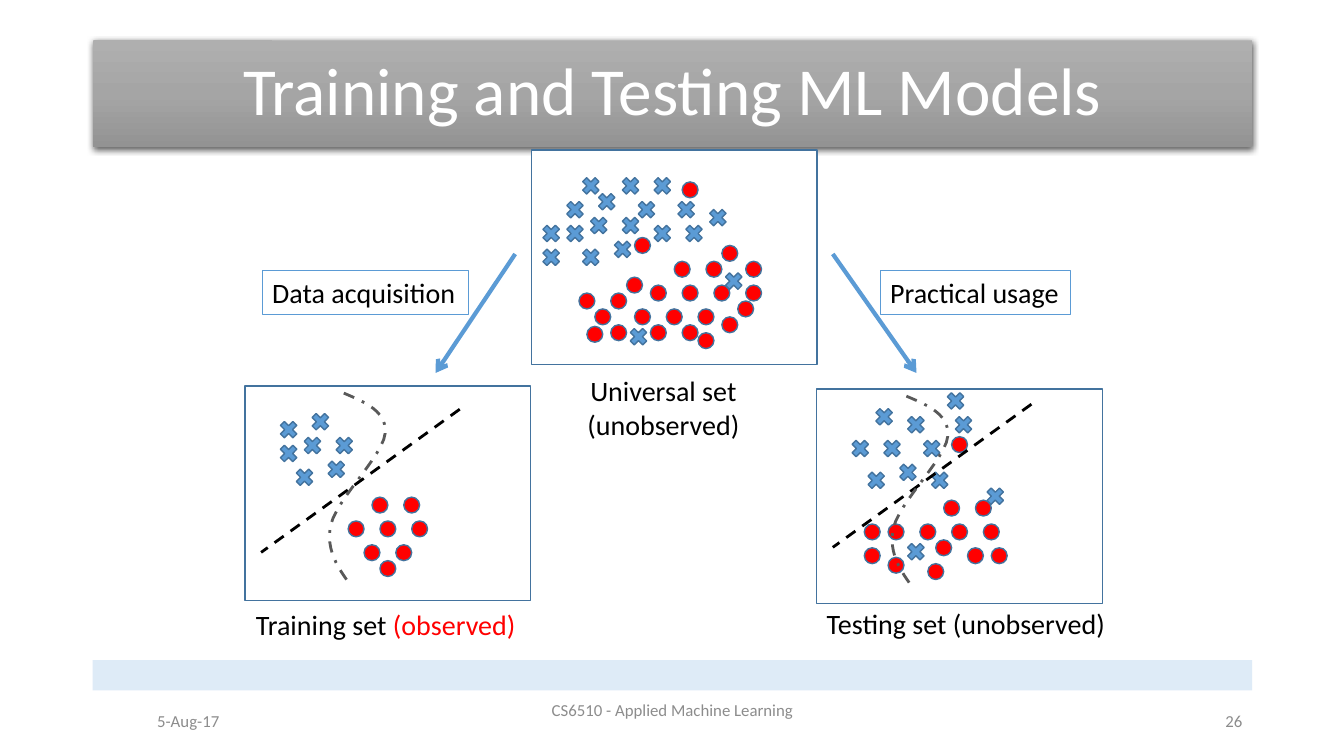
from copy import deepcopy
from dataclasses import dataclass
from lxml.etree import SubElement
from pptx import Presentation
from pptx.dml.color import RGBColor
from pptx.enum.dml import MSO_LINE
from pptx.enum.shapes import MSO_CONNECTOR, MSO_SHAPE
from pptx.enum.text import MSO_ANCHOR, PP_ALIGN
from pptx.oxml.ns import qn
from pptx.util import Inches, Pt


@dataclass(frozen=True)
class Theme:
    font: str = "Calibri"
    title: int = 48
    body: int = 20
    small: int = 12
    white: str = "FFFFFF"
    black: str = "000000"
    grey: str = "8C8C8C"
    red: str = "FF0000"
    blue: str = "5B9BD5"
    edge: str = "43739E"
    band: str = "DEEBF7"
    curve: str = "595959"
    fade: tuple = ((0, "AFAFAF"), (0.5, "A5A5A5"), (1, "939393"))


THEME = Theme()
STEP = 1 / 12.7
BOX = (36 * STEP, 27 * STEP)
LEFT, MID, RIGHT = PP_ALIGN.LEFT, PP_ALIGN.CENTER, PP_ALIGN.RIGHT

ALL_CROSS = [
    (4, 6), (7, 8), (6, 3), (4, 9), (1, 9), (10, 11), (6, 12), (13, 6),
    (18, 6), (15, 9), (15, 3), (11, 3), (8, 5), (11, 8), (1, 12), (12, 22),
    (24, 15), (19, 9), (22, 7)]
ALL_DOTS = [
    (18, 14), (15, 17), (22, 14), (19, 17), (17, 20), (23, 17), (21, 20),
    (19, 22), (24, 12), (27, 17), (26, 19), (27, 14), (24, 21), (12, 16),
    (15, 22), (13, 20), (10, 18), (21, 23), (10, 22), (19, 4), (13, 11),
    (8, 20), (6, 18), (7, 22.2)]
TRAIN_CROSS = [(4, 4), (7, 6), (8, 3), (4, 7), (11, 6), (10, 9), (6, 10)]
TRAIN_DOTS = [
    (16, 14), (13, 17), (20, 14), (17, 17), (15, 20), (21, 17), (19, 20),
    (17, 22)]
TEST_CROSS = [
    (4, 6), (7, 2), (11, 3), (16, 0), (13, 6), (10, 9), (6, 10), (8, 6),
    (17, 3), (21, 12), (11, 19), (14, 10)]
TEST_DOTS = [
    (16, 14), (13, 17), (20, 14), (17, 17), (15, 19), (21, 17), (19, 20),
    (14, 22), (9, 17), (9, 21.2), (17, 6), (22, 20), (6, 17), (6, 20)]
BENDS = [
    ((0.18, 0), (0.39, 0.09), (0.61, 0.18), (0.59, 0.4)),
    ((0.59, 0.4), (0.57, 0.62), (0.11, 1.05), (0.05, 1.31)),
    ((0.05, 1.31), (0, 1.56), (0.12, 1.73), (0.25, 1.91))]


def tint(code):
    return RGBColor.from_string(code)


def add_shape(slide, kind, box, fill=None, edge=None, width=1):
    shape = slide.shapes.add_shape(kind, *map(Inches, box))
    shape.shadow.inherit = False
    if fill:
        shape.fill.solid()
        shape.fill.fore_color.rgb = tint(fill)
    else:
        shape.fill.background()
    if edge:
        shape.line.color.rgb = tint(edge)
        shape.line.width = Pt(width)
    else:
        shape.line.fill.background()
    return shape


def write(shape, lines, size, align=MID, anchor=MSO_ANCHOR.TOP):
    frame = shape.text_frame
    frame.word_wrap = True
    frame.vertical_anchor = anchor
    for row, runs in enumerate(lines):
        para = frame.add_paragraph() if row else frame.paragraphs[0]
        para.alignment = align
        for text, color in runs:
            run = para.add_run()
            run.text = text
            run.font.name = THEME.font
            run.font.size = Pt(size)
            run.font.color.rgb = tint(color)


def add_text(slide, box, lines, size, align=MID, anchor=MSO_ANCHOR.TOP):
    write(slide.shapes.add_textbox(*map(Inches, box)), lines, size, align, anchor)


def add_line(slide, start, end, color, width):
    line = slide.shapes.add_connector(
        MSO_CONNECTOR.STRAIGHT, *map(Inches, (*start, *end)))
    line.line.color.rgb = tint(color)
    line.line.width = Pt(width)
    SubElement(line.element.spPr, qn("a:effectLst"))
    return line


def add_title(slide, box):
    bar = add_shape(slide, MSO_SHAPE.ROUNDED_RECTANGLE, box)
    bar.adjustments[0] = 0.01
    bar.fill.gradient()
    bar.fill.gradient_angle = 270
    props = bar.element.spPr
    stops = props.find(".//" + qn("a:gsLst"))
    stops.insert(1, deepcopy(stops[0]))
    for stop, (place, color) in zip(bar.fill.gradient_stops, THEME.fade):
        stop.position = place
        stop.color.rgb = tint(color)
    shade = SubElement(
        props.find(qn("a:effectLst")), qn("a:outerShdw"),
        blurRad=str(Pt(4.5)), dist=str(Pt(1.5)), dir="5400000",
        algn="ctr", rotWithShape="0")
    black = SubElement(shade, qn("a:srgbClr"), val=THEME.black)
    SubElement(black, qn("a:alpha"), val="63000")
    write(bar, [[("Training and Testing ML Models", THEME.white)]],
          THEME.title, anchor=MSO_ANCHOR.MIDDLE)
    bar.text_frame.paragraphs[0].line_spacing = 0.9


def add_foot(slide, box):
    left, top, width, height = box
    add_shape(slide, MSO_SHAPE.RECTANGLE, (left, top, width, 0.3), THEME.band)
    for text, x, y, wide, align in (
            ("5-Aug-17", 0.54, 0.4, 2.45, LEFT),
            ("CS6510 - Applied Machine Learning", 3.5, 0.29, 4.5, MID),
            ("26", 8.5, 0.4, 3, RIGHT)):
        add_text(slide, (left + x, top + y, wide, 0.4),
                 [[(text, THEME.grey)]], THEME.small, align, MSO_ANCHOR.MIDDLE)


def add_set(slide, box, crosses, dots):
    left, top = box[:2]
    add_shape(slide, MSO_SHAPE.FLOWCHART_PROCESS, box, THEME.white, THEME.edge)
    for kind, size, fill, spots in (
            (MSO_SHAPE.FLOWCHART_CONNECTOR, 2, THEME.red, dots),
            (MSO_SHAPE.MATH_MULTIPLY, 3, THEME.blue, crosses)):
        for x, y in spots:
            add_shape(slide, kind,
                      (left + x * STEP, top + y * STEP, size * STEP, size * STEP),
                      fill, THEME.edge)


def add_split(slide, box, rise, shift):
    left, top = box[:2]
    line = add_line(slide, (left + 2.13, top + rise),
                    (left + 0.16, top + rise + 1.42), THEME.black, 2)
    line.line.dash_style = MSO_LINE.DASH
    spots = []
    for bend in BENDS:
        for part in range(13):
            t = part / 12
            parts = ((1 - t) ** 3, 3 * t * (1 - t) ** 2, 3 * t * t * (1 - t), t ** 3)
            x, y = (sum(w * p[axis] for w, p in zip(parts, bend)) for axis in (0, 1))
            spots.append((Inches(left + shift + x), Inches(top + 0.07 + y)))
    path = slide.shapes.build_freeform(*spots[0])
    path.add_line_segments(spots[1:], close=False)
    curve = path.convert_to_shape()
    curve.shadow.inherit = False
    curve.fill.background()
    curve.line.color.rgb = tint(THEME.curve)
    curve.line.width = Pt(2)
    curve.line.dash_style = MSO_LINE.DASH_DOT


def add_step(slide, box, text, start, end):
    arrow = add_line(slide, start, end, THEME.blue, 3)
    SubElement(arrow.line._get_or_add_ln(), qn("a:tailEnd"), type="arrow")
    label = add_shape(slide, MSO_SHAPE.RECTANGLE, box, edge=THEME.blue, width=0.75)
    write(label, [[(text, THEME.black)]], THEME.body, LEFT)


def main():
    deck = Presentation()
    deck.slide_width, deck.slide_height = Inches(13.33), Inches(7.5)
    slide = deck.slides.add_slide(deck.slide_layouts[6])
    whole, train, test = (5.27, 1.49, *BOX), (2.43, 3.83, *BOX), (8.1, 3.86, *BOX)
    add_title(slide, (0.92, 0.4, 11.5, 1.06))
    add_foot(slide, (0.92, 6.55, 11.5, 0.8))
    add_set(slide, whole, ALL_CROSS, ALL_DOTS)
    add_set(slide, train, TRAIN_CROSS, TRAIN_DOTS)
    add_set(slide, test, TEST_CROSS, TEST_DOTS)
    add_split(slide, train, 0.23, 0.8)
    add_split(slide, test, 0.15, 0.71)
    for box, lines in (
            ((5.61, 3.66, 1.94, 0.77),
             [[("Universal set", THEME.black)], [("(unobserved)", THEME.black)]]),
            ((2.08, 5.98, 3.49, 0.44),
             [[("Training set ", THEME.black), ("(observed)", THEME.red)]]),
            ((7.65, 5.97, 3.86, 0.44),
             [[("Testing set (unobserved)", THEME.black)]])):
        add_text(slide, box, lines, THEME.body)
    add_step(slide, (2.6, 2.68, 2.05, 0.44), "Data acquisition",
             (5.11, 2.52), (4.32, 3.7))
    add_step(slide, (8.73, 2.68, 1.89, 0.44), "Practical usage",
             (8.26, 2.52), (9.09, 3.7))
    deck.save("out.pptx")


if __name__ == "__main__":
    main()
